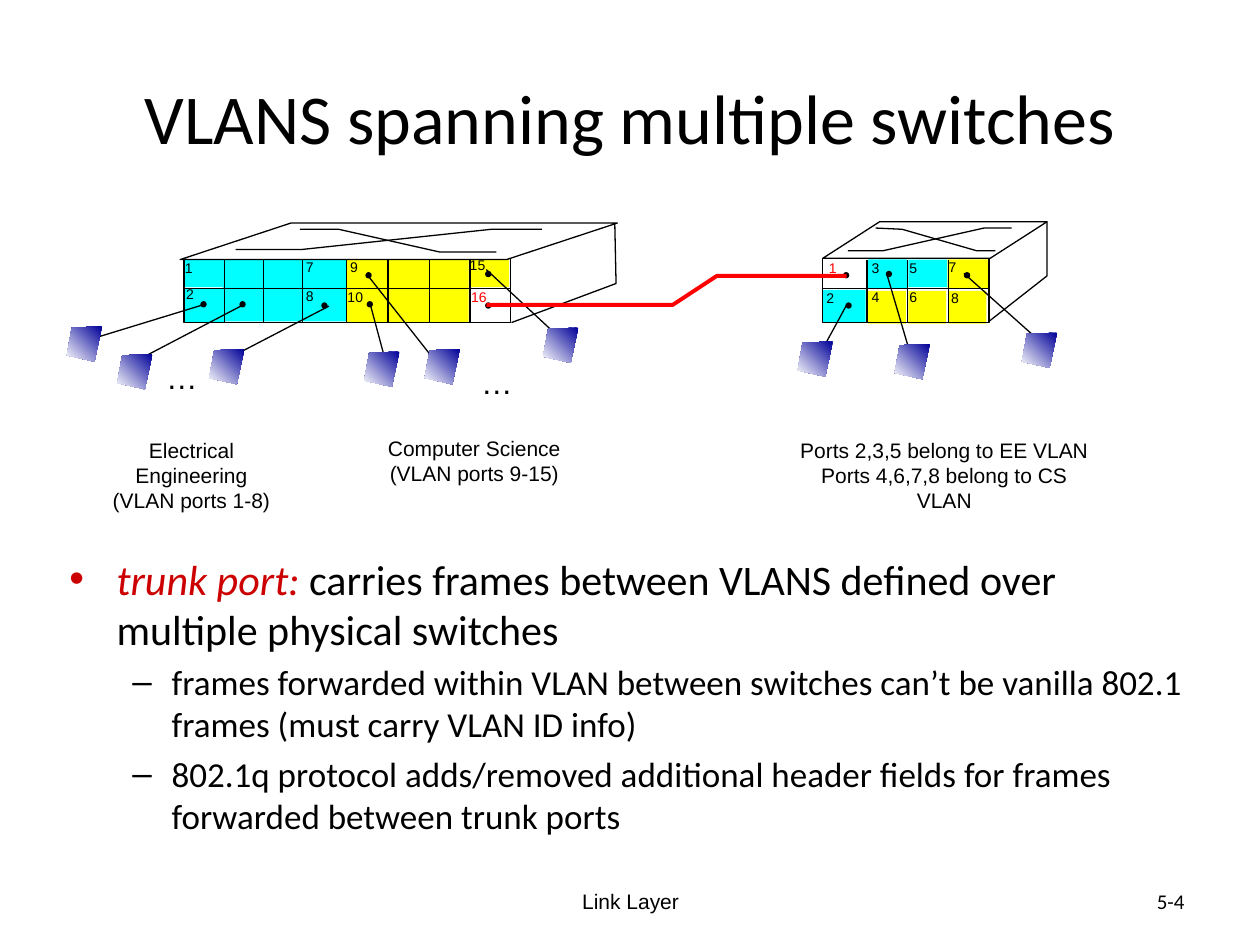
"""Build the slide on VLANs that span two switches."""
import pptx
import pptx.util
import pptx.dml.color
import pptx.enum.shapes
import pptx.enum.text
import pptx.oxml.ns
from lxml import etree

SHAPE = pptx.enum.shapes.MSO_SHAPE
ALIGN = pptx.enum.text.PP_ALIGN
ANCHOR = pptx.enum.text.MSO_ANCHOR
BLACK, WHITE, RED, TERM = "000000", "FFFFFF", "FF0000", "CC0000"
EE, CS, HOST = "00FFFF", "FFFF00", "000099"


def color(code):
    return pptx.dml.color.RGBColor.from_string(code)


def emu(*inches):
    return [pptx.util.Cm(value * 2.54) for value in inches]


class Diagram:
    """Hold the slide and the style of its elements."""

    thin = pptx.util.Pt(0.75)
    dot_size = 0.05

    def __init__(self, slide):
        self.slide = slide
        self.shapes = slide.shapes

    def style(self, shape, fill=None, line=None, width=thin):
        shape.shadow.inherit = False
        if fill:
            shape.fill.solid()
            shape.fill.fore_color.rgb = color(fill)
        else:
            shape.fill.background()
        if line:
            shape.line.color.rgb = color(line)
            shape.line.width = width
        else:
            shape.line.fill.background()

    def preset(self, kind, box, fill=None, line=None):
        shape = self.shapes.add_shape(kind, *emu(*box))
        self.style(shape, fill, line)
        return shape

    def dot(self, x, y):
        size = self.dot_size
        self.preset(SHAPE.OVAL, (x, y, size, size), BLACK)

    def line(self, x1, y1, x2, y2):
        link = self.shapes.add_connector(
            pptx.enum.shapes.MSO_CONNECTOR.STRAIGHT, *emu(x1, y1, x2, y2))
        link.line.color.rgb = color(BLACK)
        link.line.width = self.thin
        etree.SubElement(link._element.spPr, pptx.oxml.ns.qn("a:effectLst"))

    def outline(self, points, close=False, line=BLACK, width=thin):
        start, *rest = [tuple(emu(*point)) for point in points]
        builder = self.shapes.build_freeform(*start)
        builder.add_line_segments(rest, close=close)
        shape = builder.convert_to_shape()
        self.style(shape, None, line, width)
        return shape

    def host(self, x, y):
        corners = [(0.28, 0), (0.04, 0.01), (0, 0.23), (0.22, 0.28)]
        shape = self.outline([(x + dx, y + dy) for dx, dy in corners], True, None)
        shape.fill.gradient()
        shape.fill.gradient_angle = 225
        for stop, code in zip(shape.fill.gradient_stops, (HOST, WHITE)):
            stop.color.rgb = color(code)

    def run(self, paragraph, words, size, font, code=BLACK, italic=False):
        run = paragraph.add_run()
        run.text = words
        run.font.size = pptx.util.Pt(size)
        run.font.name = font
        run.font.italic = italic
        run.font.color.rgb = color(code)

    def text(self, box, lines, size, code=BLACK, align=ALIGN.LEFT,
             wrap=False, font="Arial", anchor=ANCHOR.TOP):
        frame = self.shapes.add_textbox(*emu(*box)).text_frame
        frame.word_wrap = wrap
        frame.vertical_anchor = anchor
        for index, words in enumerate(lines):
            paragraph = frame.add_paragraph() if index else frame.paragraphs[0]
            paragraph.alignment = align
            self.run(paragraph, words, size, font, code)

    def port(self, number, x, y, code=BLACK):
        self.text((x, y, 0.26 if number < 10 else 0.33, 0.23), [str(number)], 8, code)

    def placeholder(self, index, box):
        holder = self.slide.placeholders[index]
        holder.left, holder.top, holder.width, holder.height = emu(*box)
        return holder.text_frame


def add_wording(diagram):
    title = diagram.placeholder(0, (0.5, 0.3, 9, 1.25))
    title.vertical_anchor = ANCHOR.MIDDLE
    title.paragraphs[0].alignment = ALIGN.CENTER
    diagram.run(title.paragraphs[0], "VLANS spanning multiple switches", 40, "Calibri")

    body = diagram.placeholder(1, (0.45, 4.34, 9.07, 2.94))
    trunk = body.paragraphs[0]
    trunk.space_before = pptx.util.Pt(0)
    diagram.run(trunk, "trunk port: ", 24, "Calibri", TERM, True)
    diagram.run(trunk, "carries frames between VLANS defined over multiple "
                "physical switches", 24, "Calibri")
    for detail in (
            "frames forwarded within VLAN between switches can’t be vanilla "
            "802.1 frames (must carry VLAN ID info)",
            "802.1q protocol adds/removed additional header fields for frames "
            "forwarded between trunk ports"):
        paragraph = body.add_paragraph()
        paragraph.level = 1
        diagram.run(paragraph, detail, 20, "Calibri")

    diagram.text((3.42, 6.95, 3.17, 0.4), ["Link Layer"], 12,
                 align=ALIGN.CENTER, wrap=True, anchor=ANCHOR.MIDDLE)
    diagram.text((7.17, 6.95, 2.33, 0.4), ["5-4"], 12, align=ALIGN.RIGHT,
                 wrap=True, font="Calibri", anchor=ANCHOR.MIDDLE)


def add_switch(diagram, switch):
    for code, boxes in switch["vlans"].items():
        for box in boxes:
            diagram.preset(SHAPE.RECTANGLE, box, code)
    left, *dividers, right = switch["columns"]
    diagram.preset(SHAPE.RECTANGLE, (left, 2.05, right - left, 0.51), line=BLACK)
    diagram.line(left, 2.29, right, 2.29)
    for x in dividers:
        diagram.line(x, 2.06, x, 2.56)
    top = diagram.preset(SHAPE.PARALLELOGRAM, switch["top"], WHITE, BLACK)
    top.adjustments[0] = switch["slant"]
    for points in switch["edges"]:
        diagram.outline(points)
    for cable in switch["cables"]:
        diagram.line(*cable)
    for position in switch["dots"]:
        diagram.dot(*position)
    for port in switch["ports"]:
        diagram.port(*port)
    for position in switch["hosts"]:
        diagram.host(*position)


LARGE = {
    "vlans": {EE: [(1.47, 2.06, 0.3, 0.22), (1.46, 2.29, 0.32, 0.27),
                   (1.77, 2.06, 0.98, 0.49)],
              CS: [(3.72, 2.05, 0.32, 0.23), (2.75, 2.06, 0.97, 0.5)]},
    "columns": [1.46, 1.78, 2.09, 2.4, 2.75, 3.08, 3.41, 3.73, 4.05],
    "top": (1.43, 1.77, 3.47, 0.29), "slant": 3.032,
    "edges": [[(4.06, 2.56), (4.89, 2.25), (4.88, 1.77)],
              [(1.87, 1.98), (2.4, 1.98), (3.9, 1.82), (4.3, 1.82)],
              [(2.38, 1.82), (2.69, 1.82), (3.49, 2), (3.94, 2)]],
    "cables": [(1.61, 2.42, 0.63, 2.72), (1.93, 2.42, 1.05, 2.88),
               (2.61, 2.43, 1.84, 2.83), (2.94, 2.42, 3.05, 2.83),
               (2.93, 2.2, 3.45, 2.86), (3.86, 2.14, 4.43, 2.67)],
    "dots": [(1.59, 2.39), (1.9, 2.39), (2.55, 2.4), (2.91, 2.39),
             (2.9, 2.16), (3.85, 2.15), (3.85, 2.4)],
    "ports": [(1, 1.37, 2.01), (2, 1.38, 2.22), (7, 2.33, 2), (8, 2.33, 2.23),
              (9, 2.68, 2), (10, 2.66, 2.24), (15, 3.63, 1.99), (16, 3.64, 2.24, RED)],
    "hosts": [(0.53, 2.59), (0.93, 2.81), (1.66, 2.77), (2.89, 2.79),
              (3.37, 2.77), (4.31, 2.6)],
}
SMALL = {
    "vlans": {EE: [(6.89, 2.06, 0.31, 0.23), (6.53, 2.3, 0.34, 0.26),
                   (7.21, 2.06, 0.31, 0.22)],
              CS: [(6.89, 2.31, 0.3, 0.26), (7.21, 2.31, 0.3, 0.26),
                   (7.53, 2.31, 0.3, 0.26), (7.52, 2.06, 0.32, 0.23)]},
    "columns": [6.53, 6.88, 7.2, 7.53, 7.85],
    "top": (6.53, 1.76, 1.78, 0.29), "slant": 1.556,
    "edges": [[(8.31, 1.76), (8.31, 2.19), (7.85, 2.55)],
              [(6.73, 1.99), (7.01, 1.99), (7.81, 1.81), (8.03, 1.81)],
              [(6.95, 1.81), (7.16, 1.82), (7.75, 1.99), (7.9, 1.99)]],
    "cables": [(6.72, 2.42, 6.54, 2.75), (7.04, 2.18, 7.24, 2.86),
               (7.65, 2.17, 8.21, 2.67)],
    "dots": [(6.71, 2.4), (7.65, 2.16), (7.03, 2.15), (6.69, 2.16)],
    "ports": [(1, 6.48, 2.01, RED), (2, 6.46, 2.25), (3, 6.82, 2.01), (4, 6.82, 2.24),
              (5, 7.12, 2.01), (6, 7.12, 2.24), (7, 7.43, 2), (8, 7.45, 2.25)],
    "hosts": [(6.33, 2.71), (8.11, 2.64), (7.1, 2.73)],
}
CAPTIONS = [
    ((0.67, 3.42, 1.7, 0.7), ["Electrical Engineering", "(VLAN ports 1-8)"], True),
    ((2.98, 3.41, 1.57, 0.5), ["Computer Science", "(VLAN ports 9-15)"], False),
    ((6.18, 3.42, 2.63, 0.5),
     ["Ports 2,3,5 belong to EE VLAN", "Ports 4,6,7,8 belong to CS VLAN"], False),
]


def main():
    deck = pptx.Presentation()
    deck.slide_width, deck.slide_height = emu(10, 7.5)
    diagram = Diagram(deck.slides.add_slide(deck.slide_layouts[1]))
    add_wording(diagram)
    for switch in (LARGE, SMALL):
        add_switch(diagram, switch)
    diagram.outline([(3.86, 2.42), (5.34, 2.42), (5.69, 2.19), (6.72, 2.19)],
                    line=RED, width=pptx.util.Pt(2.25))
    for x, y in ((1.22, 2.79), (3.72, 2.83)):
        diagram.text((x, y, 0.45, 0.4), ["…"], 18)
    for box, lines, wrap in CAPTIONS:
        diagram.text(box, lines, 12, align=ALIGN.CENTER, wrap=wrap)
    deck.save("out.pptx")


if __name__ == "__main__":
    main()
